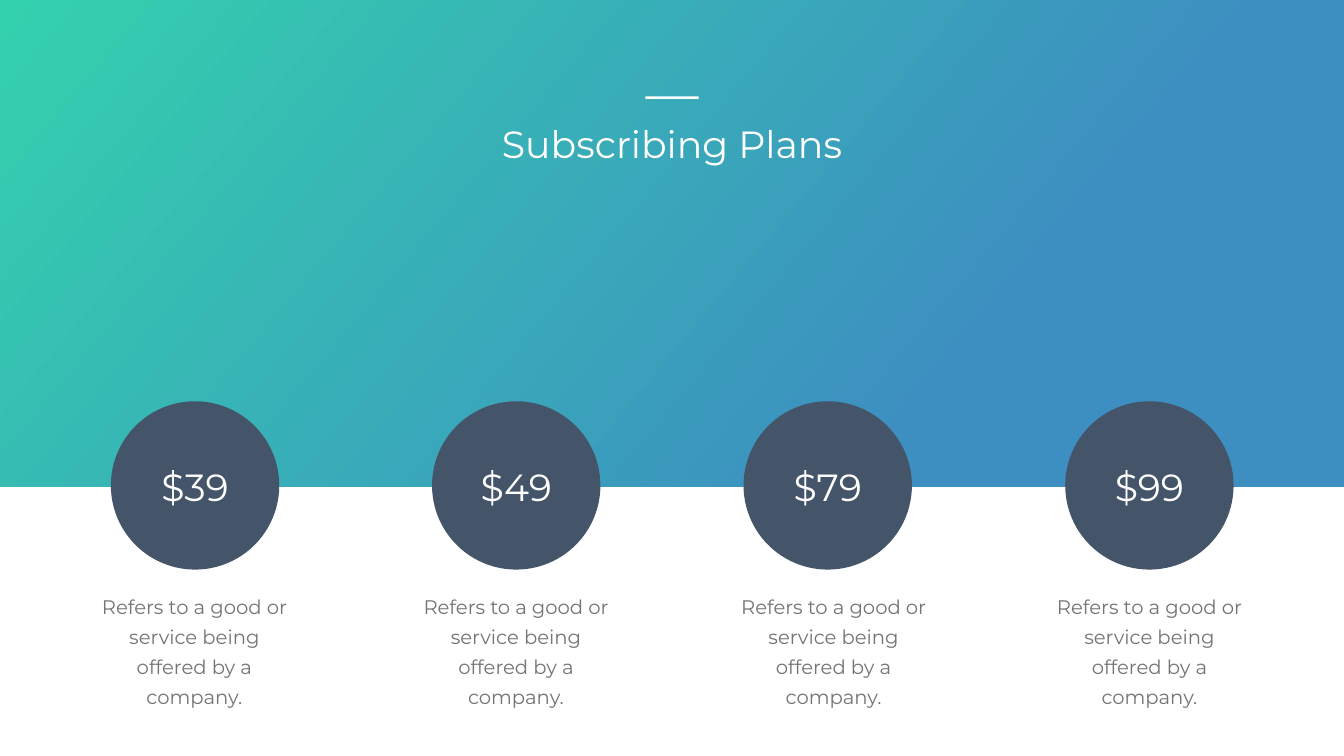
from dataclasses import dataclass

from pptx import Presentation
from pptx.dml.color import RGBColor
from pptx.enum.shapes import MSO_SHAPE
from pptx.enum.text import PP_ALIGN
from pptx.util import Pt

TITLE = "Subscribing Plans"
DESCRIPTION = "Refers to a good or service being offered by a company."
# price, centre of its circle, centre of its description (points)
PLANS = [
    ("$39", 278.6, 277.6),
    ("$49", 737.3, 736.9),
    ("$79", 1182.2, 1190.5),
    ("$99", 1641.6, 1641.6),
]


@dataclass(frozen=True)
class Theme:
    font: str = "Montserrat"
    white: str = "FFFFFF"
    circle: str = "445469"
    body: str = "737572"
    gradient: tuple = (("33D1AD", 0), ("3D8FC1", 0.73))
    heading_size: int = 54
    body_size: int = 28
    body_leading: int = 43


THEME = Theme()
SLIDE_WIDTH, SLIDE_HEIGHT = 1919.5, 1080
BANNER_HEIGHT = 695.5
CIRCLE_SIZE = 240.5
HEADING_HEIGHT = 72.7


def add_shape(slide, kind, left, top, width, height, color=None):
    shape = slide.shapes.add_shape(kind, Pt(left), Pt(top), Pt(width), Pt(height))
    shape.shadow.inherit = False
    shape.line.fill.background()
    if color:
        shape.fill.solid()
        shape.fill.fore_color.rgb = RGBColor.from_string(color)
    return shape


def add_text(slide, text, center, top, width, height, *, size, color,
             wrap=True, leading=None, insets=(7.2, 3.6)):
    """Add a centred text box; insets are (sides, top and bottom)."""
    box = slide.shapes.add_textbox(
        Pt(center - width / 2), Pt(top), Pt(width), Pt(height))
    frame = box.text_frame
    frame.word_wrap = wrap
    frame.margin_left = frame.margin_right = Pt(insets[0])
    frame.margin_top = frame.margin_bottom = Pt(insets[1])
    paragraph = frame.paragraphs[0]
    paragraph.alignment = PP_ALIGN.CENTER
    if leading:
        paragraph.line_spacing = Pt(leading)
    run = paragraph.add_run()
    run.text = text
    run.font.name = THEME.font
    run.font.size = Pt(size)
    run.font.color.rgb = RGBColor.from_string(color)


def add_banner(slide):
    banner = add_shape(slide, MSO_SHAPE.RECTANGLE, 0, 0, SLIDE_WIDTH, BANNER_HEIGHT)
    banner.fill.gradient()
    banner.fill.gradient_angle = 320
    for stop, (color, position) in zip(banner.fill.gradient_stops, THEME.gradient):
        stop.color.rgb = RGBColor.from_string(color)
        stop.position = position


def add_title(slide):
    middle = SLIDE_WIDTH / 2
    add_text(slide, TITLE, middle, 168.5, 505.4, HEADING_HEIGHT,
             size=THEME.heading_size, color=THEME.white, wrap=False)
    rule_width = 76.3
    add_shape(slide, MSO_SHAPE.RECTANGLE, middle - rule_width / 2, 137.5,
              rule_width, 3.6, THEME.white)


def add_plan(slide, price, circle_center, text_center):
    circle_top = BANNER_HEIGHT - CIRCLE_SIZE / 2 - 2
    add_shape(slide, MSO_SHAPE.OVAL, circle_center - CIRCLE_SIZE / 2, circle_top,
              CIRCLE_SIZE, CIRCLE_SIZE, THEME.circle)
    add_text(slide, price, circle_center, 659.5, 140.4, HEADING_HEIGHT,
             size=THEME.heading_size, color=THEME.white)
    add_text(slide, DESCRIPTION, text_center, 831.6, 324.7, 189,
             size=THEME.body_size, color=THEME.body,
             leading=THEME.body_leading, insets=(17.3, 8.6))


def main():
    presentation = Presentation()
    presentation.slide_width = Pt(SLIDE_WIDTH)
    presentation.slide_height = Pt(SLIDE_HEIGHT)
    slide = presentation.slides.add_slide(presentation.slide_layouts[6])
    add_banner(slide)
    add_title(slide)
    for plan in PLANS:
        add_plan(slide, *plan)
    presentation.save("out.pptx")


if __name__ == "__main__":
    main()
